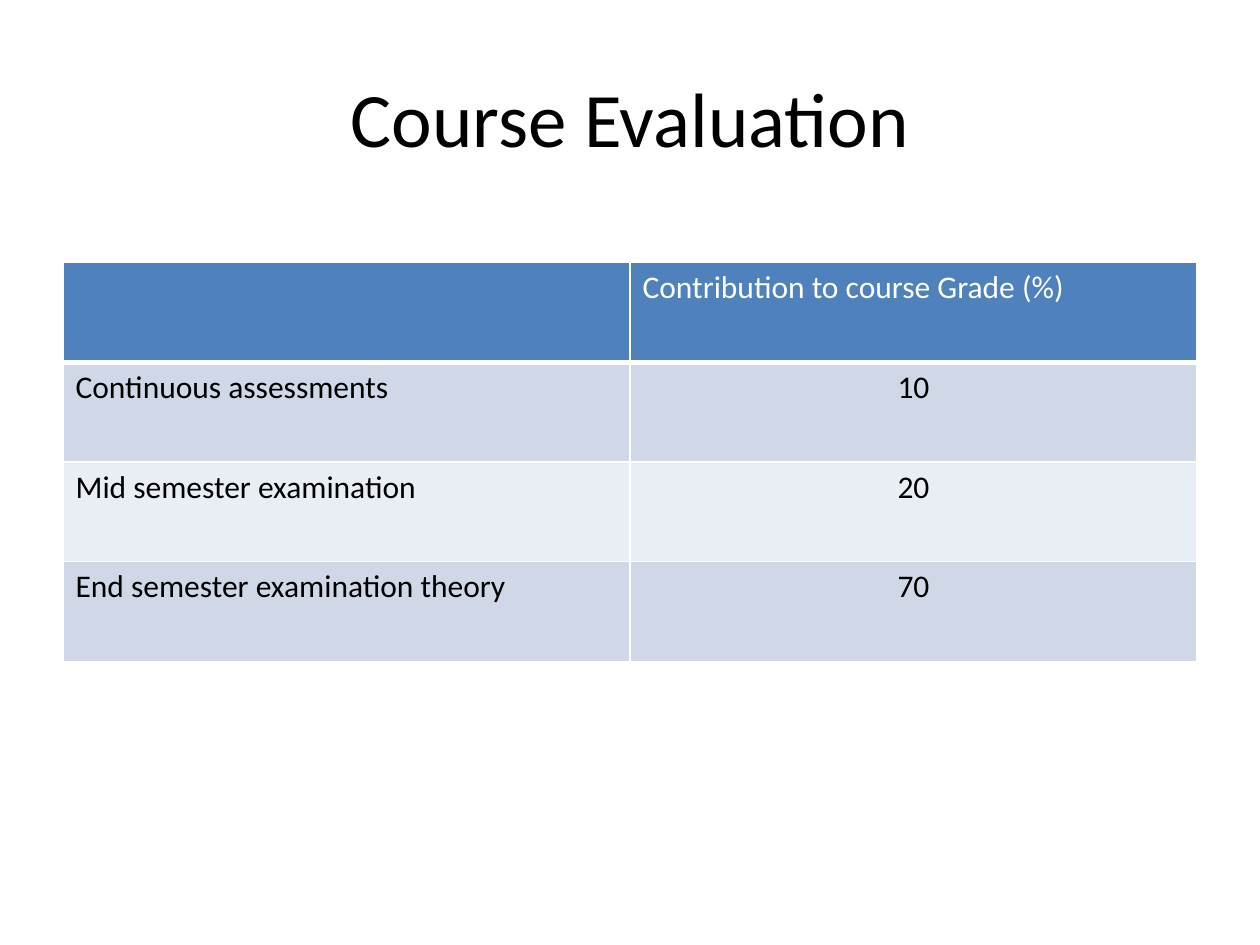
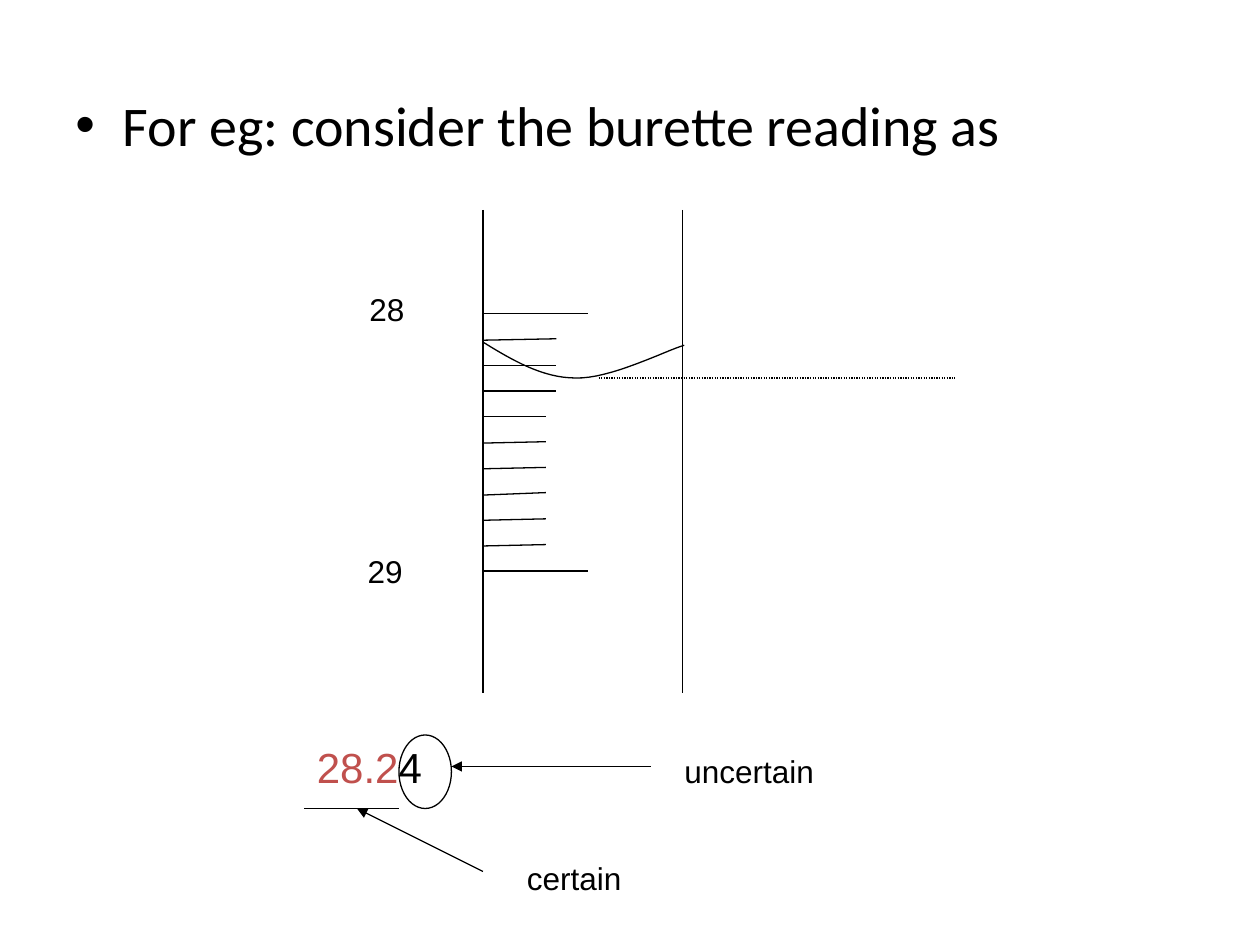
from dataclasses import dataclass
from pptx import Presentation
from pptx.dml.color import RGBColor as RGB
from pptx.enum.dml import MSO_LINE_DASH_STYLE as Dash
from pptx.enum.shapes import MSO_CONNECTOR as Connector, MSO_SHAPE as Shape
from pptx.enum.text import MSO_ANCHOR as Anchor, PP_ALIGN as Align
from pptx.oxml import parse_xml
from pptx.oxml.ns import nsdecls
from pptx.util import Pt


@dataclass(frozen=True)
class Theme:
    ink: str = "000000"
    paper: str = "FFFFFF"
    header: str = "4F81BD"
    bands: tuple = ("D0D8E8", "E9EDF4")
    accent: str = "C0504D"
    heading_font: str = "Calibri"
    label_font: str = "Arial"
    title: int = 44
    body: int = 32
    reading: int = 24
    label: int = 18
    line: float = 0.75
    border: int = 1
    header_border: int = 3


THEME = Theme()

TITLE = ("Course Evaluation", (36, 21.6, 648, 90))
GRADES = [
    ("", "Contribution to course Grade (%)"),
    ("Continuous assessments", "10"),
    ("Mid semester examination", "20"),
    ("End semester examination theory", "70"),
]
GRADES_BOX = (36, 150, 648, 228)

PROMPT = ("For eg: consider the burette reading as", (36, 48, 648, 434))
PROMPT_INDENT = 27
LABELS = [
    ("28", (204, 162, 54, 28.8)),
    ("29", (203, 312, 54, 28.8)),
    ("certain", (294, 487.4, 96, 28.8)),
    ("uncertain", (384, 426, 96, 28.8)),
]
READING = ([("28.2", THEME.accent), ("4", THEME.ink)], (174, 420, 84, 36))
UNCERTAIN_DIGIT = (228, 420, 30, 42)
CERTAIN_UNDERLINE = (174, 462, 228, 462)
ARROWS = [(276, 498, 204, 462), (372, 438, 258, 438)]
READING_LEVEL = (342, 216, 546, 216)

WALLS = (276, 390)
WALL_TOP, WALL_BOTTOM = 120, 396
FIRST_TICK, TICK_GAP = 179.3, 14.7
TICKS = [(60, 0), (42, 0.8), (42, 0), (42, 0), (36, 0), (36, 0.8),
         (36, 0.8), (36, 1.4), (36, 0.8), (36, 0.8), (60, 0)]
MENISCUS = [
    ((276.5, 195.8), (293, 206), (310.3, 216), (329, 216)),
    ((329, 216), (348.5, 216.7), (380.9, 200.2), (391, 197.3)),
]
CURVE_STEPS = 16


def points(values):
    return [Pt(value) for value in values]


def write(frame, text, *, size, font=THEME.heading_font, color=THEME.ink,
          align=Align.LEFT, anchor=Anchor.TOP, bullet_indent=None):
    frame.word_wrap = True
    frame.vertical_anchor = anchor
    paragraph = frame.paragraphs[0]
    if bullet_indent:
        properties = paragraph._p.get_or_add_pPr()
        properties.set("marL", str(Pt(bullet_indent)))
        properties.set("indent", str(-Pt(bullet_indent)))
        properties.append(parse_xml(f'<a:buFont {nsdecls("a")} typeface="Arial"/>'))
        properties.append(parse_xml(f'<a:buChar {nsdecls("a")} char="•"/>'))
    paragraph.alignment = align
    for words, tint in [(text, color)] if isinstance(text, str) else text:
        run = paragraph.add_run()
        run.text = words
        run.font.name = font
        run.font.size = Pt(size)
        run.font.bold = False
        run.font.color.rgb = RGB.from_string(tint)


def add_text(slide, text, box, **style):
    write(slide.shapes.add_textbox(*points(box)).text_frame, text, **style)


def ink_line(line):
    line.color.rgb = RGB.from_string(THEME.ink)
    line.width = Pt(THEME.line)


def add_line(slide, ends, arrow=False, dash=None):
    stroke = slide.shapes.add_connector(Connector.STRAIGHT, *points(ends))
    ink_line(stroke.line)
    if dash:
        stroke.line.dash_style = dash
    if arrow:
        stroke.line._get_or_add_ln().append(
            parse_xml(f'<a:tailEnd {nsdecls("a")} type="triangle"/>'))
    stroke._element.spPr.append(parse_xml(f'<a:effectLst {nsdecls("a")}/>'))


def outline(shape):
    shape.shadow.inherit = False
    shape.fill.background()
    ink_line(shape.line)


def border_cell(cell, row):
    properties = cell._tc.get_or_add_tcPr()
    for position, side in enumerate(("lnL", "lnR", "lnT", "lnB")):
        below_header = row == 0 and side == "lnB"
        width = THEME.header_border if below_header else THEME.border
        properties.insert(position, parse_xml(
            f'<a:{side} {nsdecls("a")} w="{Pt(width)}"><a:solidFill>'
            f'<a:srgbClr val="{THEME.paper}"/></a:solidFill></a:{side}>'))


def add_grades(slide):
    grades = slide.shapes.add_table(len(GRADES), len(GRADES[0]), *points(GRADES_BOX)).table
    for row, entries in enumerate(GRADES):
        for column, entry in enumerate(entries):
            cell = grades.cell(row, column)
            fill = THEME.bands[(row - 1) % 2] if row else THEME.header
            cell.fill.solid()
            cell.fill.fore_color.rgb = RGB.from_string(fill)
            border_cell(cell, row)
            if entry:
                write(cell.text_frame, entry, size=THEME.label,
                      color=THEME.ink if row else THEME.paper,
                      align=Align.CENTER if row and column else Align.LEFT)


def bezier(curve, t):
    weights = ((1 - t) ** 3, 3 * t * (1 - t) ** 2, 3 * t ** 2 * (1 - t), t ** 3)
    return tuple(Pt(sum(w * p[axis] for w, p in zip(weights, curve))) for axis in (0, 1))


def add_burette(slide):
    for wall in WALLS:
        add_line(slide, (wall, WALL_TOP, wall, WALL_BOTTOM))
    for index, (length, rise) in enumerate(TICKS):
        level = FIRST_TICK + index * TICK_GAP
        add_line(slide, (WALLS[0], level + rise / 2, WALLS[0] + length, level - rise / 2))
    start, *rest = [bezier(curve, step / CURVE_STEPS)
                    for curve in MENISCUS for step in range(CURVE_STEPS + 1)]
    meniscus = slide.shapes.build_freeform(*start)
    meniscus.add_line_segments(rest, close=False)
    outline(meniscus.convert_to_shape())
    add_line(slide, READING_LEVEL, dash=Dash.ROUND_DOT)


def add_reading(slide):
    reading, box = READING
    add_text(slide, reading, box, size=THEME.reading, font=THEME.label_font)
    add_line(slide, CERTAIN_UNDERLINE)
    outline(slide.shapes.add_shape(Shape.OVAL, *points(UNCERTAIN_DIGIT)))
    for ends in ARROWS:
        add_line(slide, ends, arrow=True)
    for label, place in LABELS:
        add_text(slide, label, place, size=THEME.label, font=THEME.label_font)


def main():
    deck = Presentation()
    deck.slide_width, deck.slide_height = Pt(720), Pt(540)
    evaluation, burette = (deck.slides.add_slide(deck.slide_layouts[6]) for _ in range(2))
    add_text(evaluation, *TITLE, size=THEME.title, align=Align.CENTER, anchor=Anchor.MIDDLE)
    add_grades(evaluation)
    add_text(burette, *PROMPT, size=THEME.body, bullet_indent=PROMPT_INDENT)
    add_burette(burette)
    add_reading(burette)
    deck.save("out.pptx")


if __name__ == "__main__":
    main()
